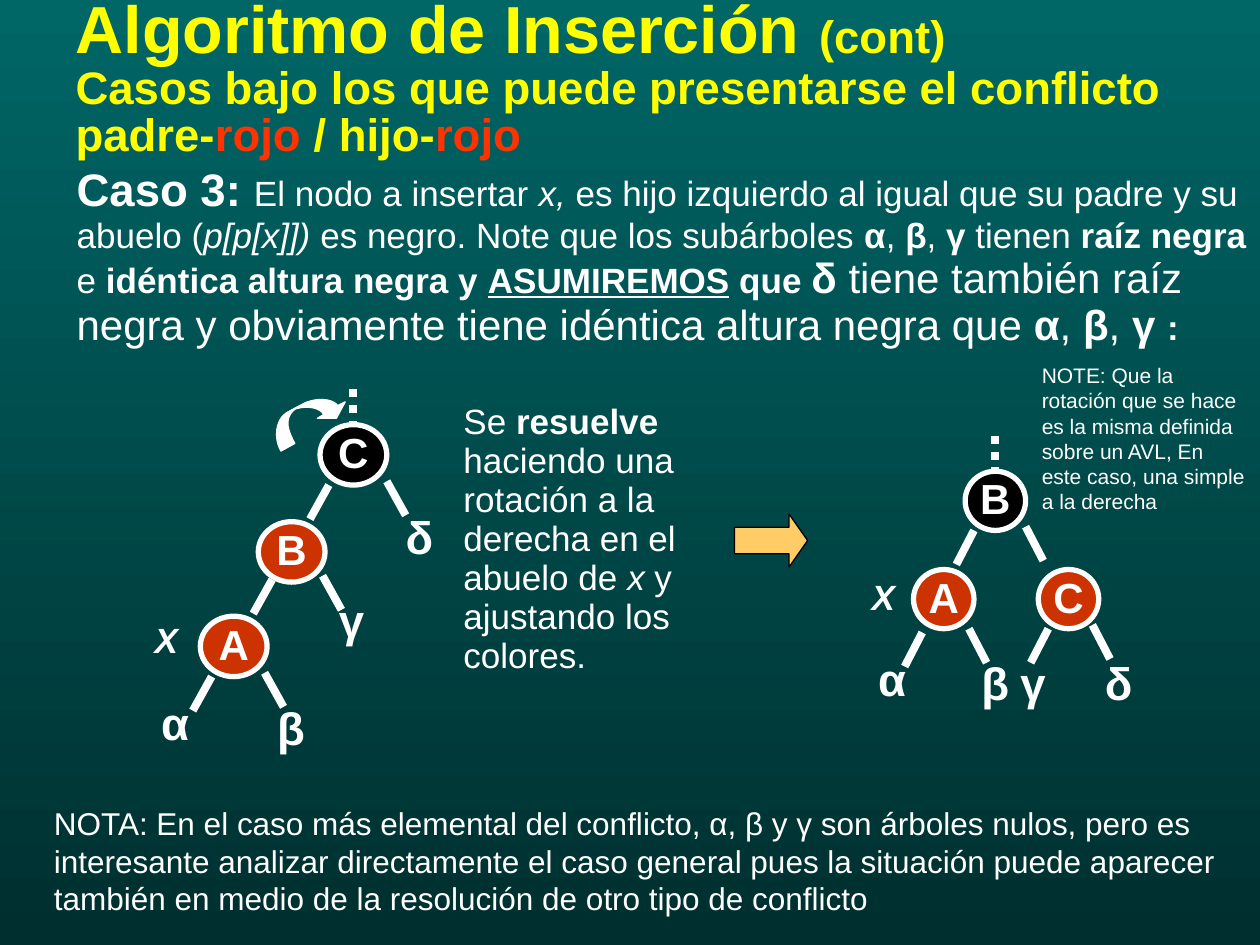
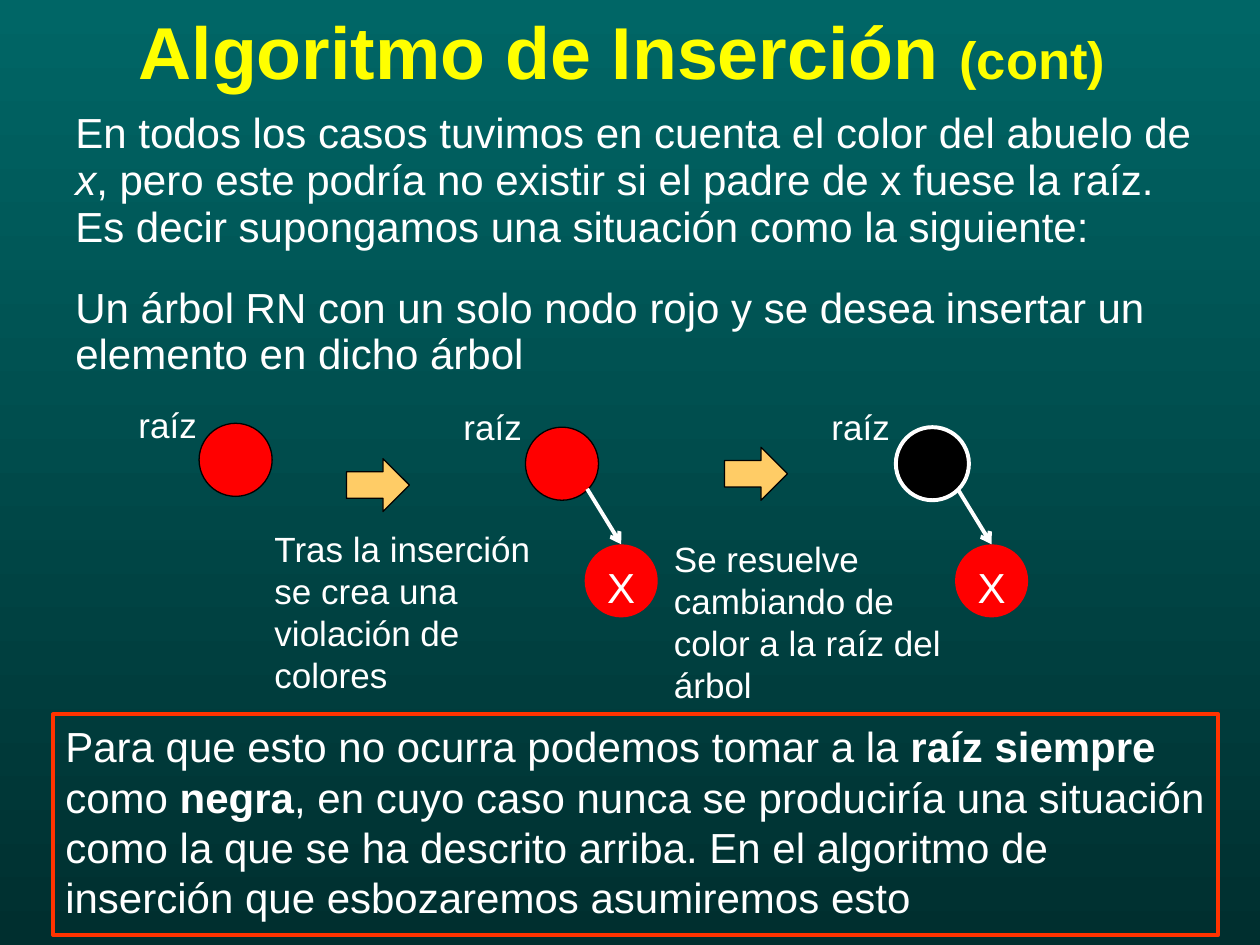
from lxml import etree
from pptx import Presentation
from pptx.dml.color import RGBColor
from pptx.enum.dml import MSO_LINE
from pptx.enum.shapes import MSO_CONNECTOR, MSO_SHAPE
from pptx.enum.text import MSO_ANCHOR, MSO_AUTO_SIZE, PP_ALIGN
from pptx.oxml.ns import qn
from pptx.util import Inches, Pt

FONT = "Arial"
WHITE, BLACK, YELLOW = "FFFFFF", "000000", "FFFF00"
ORANGE, NODE_RED, ROOT_RED = "FF3300", "CC3300", "FF0000"
ARROW_FILL = "FFCC66"
BACK_TOP, BACK_BOTTOM = "006666", "002F2F"
TIGHT = 0.93


def rgb(code):
    return RGBColor.from_string(code)


def set_background(master):
    fill = master.background.fill
    fill.gradient()
    fill.gradient_angle = 270
    for stop, code, place in zip(fill.gradient_stops, (BACK_TOP, BACK_BOTTOM), (0, 1)):
        stop.color.rgb = rgb(code)
        stop.position = place


def write(paragraph, runs, size, color=WHITE, bold=None, spacing=None,
          align=PP_ALIGN.LEFT):
    """Fill a paragraph with strings or (text, marks, size, color) tuples; marks are b, i, u."""
    paragraph.alignment = align
    if spacing:
        paragraph.line_spacing = spacing
    font = paragraph.font
    font.name, font.size, font.bold = FONT, Pt(size), bold
    font.color.rgb = rgb(color)
    for item in [runs] if isinstance(runs, str) else runs:
        if item == "\n":
            paragraph.add_line_break()
            continue
        parts = (item,) if isinstance(item, str) else item
        text, marks, run_size, run_color = parts + ("", None, None)[len(parts) - 1:]
        run = paragraph.add_run()
        run.text = text
        if "b" in marks:
            run.font.bold = True
        if "i" in marks:
            run.font.italic = True
        if "u" in marks:
            run.font.underline = True
        if run_size:
            run.font.size = Pt(run_size)
        if run_color:
            run.font.color.rgb = rgb(run_color)


def add_title(slide, left, top, runs, size):
    title = slide.shapes.title
    title.left, title.top = Inches(left), Inches(top)
    title.width, title.height = Inches(9), Inches(1.25)
    frame = title.text_frame
    frame.auto_size = MSO_AUTO_SIZE.NONE
    frame.vertical_anchor = MSO_ANCHOR.MIDDLE
    write(frame.paragraphs[0], runs, size, YELLOW, True, 0.85)


def add_text(slide, box, paragraphs, size, gap=0, **style):
    frame = slide.shapes.add_textbox(*map(Inches, box)).text_frame
    frame.word_wrap = True
    for index, runs in enumerate(paragraphs):
        paragraph = frame.add_paragraph() if index else frame.paragraphs[0]
        if index:
            paragraph.space_before = Pt(gap)
        write(paragraph, runs, size, **style)


def paint(shape, fill=None, line=None, width=0.75):
    shape.shadow.inherit = False
    if fill:
        shape.fill.solid()
        shape.fill.fore_color.rgb = rgb(fill)
    else:
        shape.fill.background()
    if line:
        shape.line.color.rgb = rgb(line)
        shape.line.width = Pt(width)
    else:
        shape.line.fill.background()


def add_shape(slide, kind, box, fill=None, line=None, width=0.75):
    shape = slide.shapes.add_shape(kind, *map(Inches, box))
    paint(shape, fill, line, width)
    return shape


def add_node(slide, box, fill, line=None, width=0.75, label=None,
             anchor=MSO_ANCHOR.MIDDLE, **style):
    node = add_shape(slide, MSO_SHAPE.OVAL, box, fill, line, width)
    if label:
        frame = node.text_frame
        frame.word_wrap = False
        frame.vertical_anchor = anchor
        frame.margin_left = frame.margin_right = 0
        write(frame.paragraphs[0], label, 24, align=PP_ALIGN.CENTER, **style)
    return node


def add_line(slide, x1, y1, x2, y2, width=4.5):
    line = slide.shapes.add_connector(MSO_CONNECTOR.STRAIGHT,
                                      *map(Inches, (x1, y1, x2, y2)))
    line.line.color.rgb = rgb(WHITE)
    line.line.width = Pt(width)
    etree.SubElement(line._element.spPr, qn("a:effectLst"))
    return line


def add_block_arrow(slide, left, top, width, head):
    arrow = add_shape(slide, MSO_SHAPE.RIGHT_ARROW, (left, top, width, 0.42),
                      ARROW_FILL, BLACK)
    arrow.adjustments[1] = head


def curve(start, c1, c2, end, steps=12):
    """Points of a cubic curve, without its start."""
    points = []
    for step in range(1, steps + 1):
        t = step / steps
        weights = ((1 - t) ** 3, 3 * t * (1 - t) ** 2, 3 * t * t * (1 - t), t ** 3)
        points.append(tuple(sum(w * p[axis] for w, p in zip(weights, (start, c1, c2, end)))
                            for axis in (0, 1)))
    return points


def add_rotation_arrow(slide):
    foot, bend, crest, neck = (2.23, 3.58), (2.27, 3.28), (2.38, 3.22), (2.57, 3.29)
    inner_foot = (2.34, 3.52)
    tail = [foot, *curve(foot, (2.17, 3.48), (2.19, 3.33), bend), crest,
            *curve(crest, (2.24, 3.3), (2.28, 3.41), inner_foot)]
    head = [crest, *curve(crest, (2.49, 3.15), (2.64, 3.16), (2.68, 3.22)),
            (2.74, 3.19), (2.67, 3.32), (2.52, 3.32), neck,
            *curve(neck, (2.53, 3.22), (2.38, 3.21), bend)]
    for outline in (tail, head):
        points = [(Inches(x), Inches(y)) for x, y in outline]
        builder = slide.shapes.build_freeform(*points[0])
        builder.add_line_segments(points[1:], close=True)
        paint(builder.convert_to_shape(), WHITE, WHITE)


def add_tree(slide, nodes, node_size, left_starts, right_starts, reach, leaves, x_mark):
    """Draw a tree whose first node is the black root; reach is a branch's run and drop."""
    for index, (label, left, top) in enumerate(nodes):
        add_node(slide, (left, top, *node_size), NODE_RED if index else BLACK,
                 WHITE, 3, label, bold=True, spacing=TIGHT)
    run, drop = reach
    for side, starts in ((-1, left_starts), (1, right_starts)):
        for x, y in starts:
            add_line(slide, x, y, x + side * run, y + drop)
    _, root_left, root_top = nodes[0]
    middle = root_left + node_size[0] / 2
    stem = add_line(slide, middle, root_top - 0.28, middle, root_top)
    stem.line.dash_style = MSO_LINE.ROUND_DOT
    for letter, left, top in leaves:
        add_text(slide, (left, top, 0.42, 0.54), [letter], 26, bold=True)
    add_text(slide, (*x_mark, 0.5, 0.41), [[("X", "i")]], 20, bold=True, spacing=TIGHT)


def build_case_three(slide):
    add_title(slide, 0.5, 0.01, [
        "Algoritmo de Inserción ", ("(cont)", "", 26), "\n",
        ("Casos bajo los que puede presentarse el conflicto padre-", "", 26),
        ("rojo ", "", 26, ORANGE), ("/ hijo-", "", 26), ("rojo", "", 26, ORANGE)], 38)
    add_text(slide, (0.51, 1.27, 9.49, 1.93), [[
        ("Caso 3: ", "b", 26), "El nodo a insertar ", ("x,", "i"),
        " es hijo izquierdo al igual que su padre y su abuelo (", ("p[p[x]])", "i"),
        " es negro. Note que los subárboles ", ("α", "b"), ", ", ("β", "b"), ", ",
        ("γ", "b"), " tienen ", ("raíz negra", "b"), " e ",
        ("idéntica altura negra y ", "b"), ("ASUMIREMOS", "bu"), (" que ", "b"),
        ("δ ", "b", 24),
        ("tiene también raíz negra y obviamente tiene idéntica altura negra que ", "", 24),
        ("α", "b", 24), (", ", "", 24), ("β", "b", 24), (", ", "", 24),
        ("γ ", "b", 24), (":", "b")]], 20, spacing=TIGHT)
    add_tree(slide, [("C", 2.54, 3.37), ("B", 2.05, 4.14), ("A", 1.59, 4.89)],
             (0.53, 0.48),
             [(2.61, 3.85), (2.16, 4.6), (1.68, 5.37)],
             [(3.07, 3.82), (2.56, 4.57), (2.1, 5.34)], (0.15, 0.27),
             [("α", 1.18, 5.47), ("β", 2.1, 5.51), ("γ", 2.59, 4.65), ("δ", 3.12, 3.99)],
             (1.13, 4.89))
    add_tree(slide, [("B", 7.66, 3.74), ("A", 7.25, 4.52), ("C", 8.24, 4.52)],
             (0.48, 0.47),
             [(7.73, 4.21), (7.32, 5.02), (8.32, 4.99)],
             [(8.14, 4.18), (7.69, 4.99), (8.67, 4.96)], (0.14, 0.27),
             [("α", 6.87, 5.12), ("β", 7.69, 5.15), ("γ", 8, 5.15), ("δ", 8.67, 5.15)],
             (6.82, 4.55))
    add_rotation_arrow(slide)
    add_text(slide, (3.58, 3.15, 2.75, 2.27), [[
        "Se ", ("resuelve", "b"), " haciendo una rotación a la derecha en el abuelo de ",
        ("x", "i"), " y ajustando los colores."]], 20, spacing=TIGHT)
    add_text(slide, (0.33, 6.33, 9.5, 1), [
        "NOTA: En el caso más elemental del conflicto, α, β y γ son árboles nulos, "
        "pero es interesante analizar directamente el caso general pues la situación "
        "puede aparecer también en medio de la resolución de otro tipo de conflicto"], 18)
    add_text(slide, (8.17, 2.83, 1.83, 1.3), [
        "NOTE: Que la rotación que se hace es la misma definida sobre un AVL, "
        "En este caso, una simple a la derecha"], 12)
    add_block_arrow(slide, 5.83, 4.08, 0.58, 0.35)


def add_inserted_child(slide, root_left, root_top):
    """Draw the red X node below a root, with the arrow that leads to it."""
    child = add_node(slide, (root_left + 0.47, root_top + 0.93, 0.58, 0.58), ROOT_RED,
                     label="X", anchor=MSO_ANCHOR.TOP)
    link = add_line(slide, root_left + 0.49, root_top + 0.49,
                    root_left + 0.76, root_top + 0.93, 2.25)
    link.end_connect(child, 0)
    etree.SubElement(link.line._get_or_add_ln(), qn("a:tailEnd"), type="arrow")


def build_root_case(slide):
    add_title(slide, 1, -0.17, ["Algoritmo de Inserción ", ("(cont)", "", 30)], 42)
    add_text(slide, (0.5, 0.83, 9.17, 2.92), [
        ["En todos los casos tuvimos en cuenta el color del abuelo de ", ("x", "i"),
         ", pero este podría no existir si el padre de x fuese la raíz. "
         "Es decir supongamos una situación como la siguiente:"],
        "Un árbol RN con un solo nodo rojo y se desea insertar un elemento "
        "en dicho árbol"], 24, gap=19.5, spacing=TIGHT)
    stages = [(1.58, 3.36, ROOT_RED, BLACK, 0.75, 1, 3.15),
              (4.17, 3.39, ROOT_RED, BLACK, 0.75, 3.58, 3.17),
              (7.11, 3.39, BLACK, WHITE, 2.25, 6.5, 3.17)]
    for index, (left, top, fill, line, width, label_left, label_top) in enumerate(stages):
        add_node(slide, (left, top, 0.58, 0.58), fill, line, width)
        add_text(slide, (label_left, label_top, 0.92, 0.44), ["raíz"], 20)
        if index:
            add_inserted_child(slide, left, top)
    for left, top in ((2.75, 3.64), (5.75, 3.55)):
        add_block_arrow(slide, left, top, 0.5, 0.5)
    for left, top, step in (
            (2.08, 4.14, "Tras la inserción se crea una violación de colores"),
            (5.25, 4.22, "Se resuelve cambiando de color a la raíz del árbol")):
        add_text(slide, (left, top, 2.42, 1.44), [step], 20)
    conclusion = add_shape(slide, MSO_SHAPE.RECTANGLE, (0.42, 5.67, 9.25, 1.75),
                           None, ORANGE, 2.25).text_frame
    conclusion.word_wrap = True
    conclusion.vertical_anchor = MSO_ANCHOR.TOP
    write(conclusion.paragraphs[0], [
        "Para que esto no ocurra podemos tomar a la ", ("raíz siempre", "b"), " como ",
        ("negra", "b"), ", en cuyo caso nunca se produciría una situación como la que se "
        "ha descrito arriba. En el algoritmo de inserción que esbozaremos asumiremos esto"],
        24)


def main():
    deck = Presentation()
    deck.slide_width, deck.slide_height = Inches(10), Inches(7.5)
    set_background(deck.slide_master)
    title_only = deck.slide_layouts[5]
    for build in (build_case_three, build_root_case):
        build(deck.slides.add_slide(title_only))
    deck.save("out.pptx")


if __name__ == "__main__":
    main()
